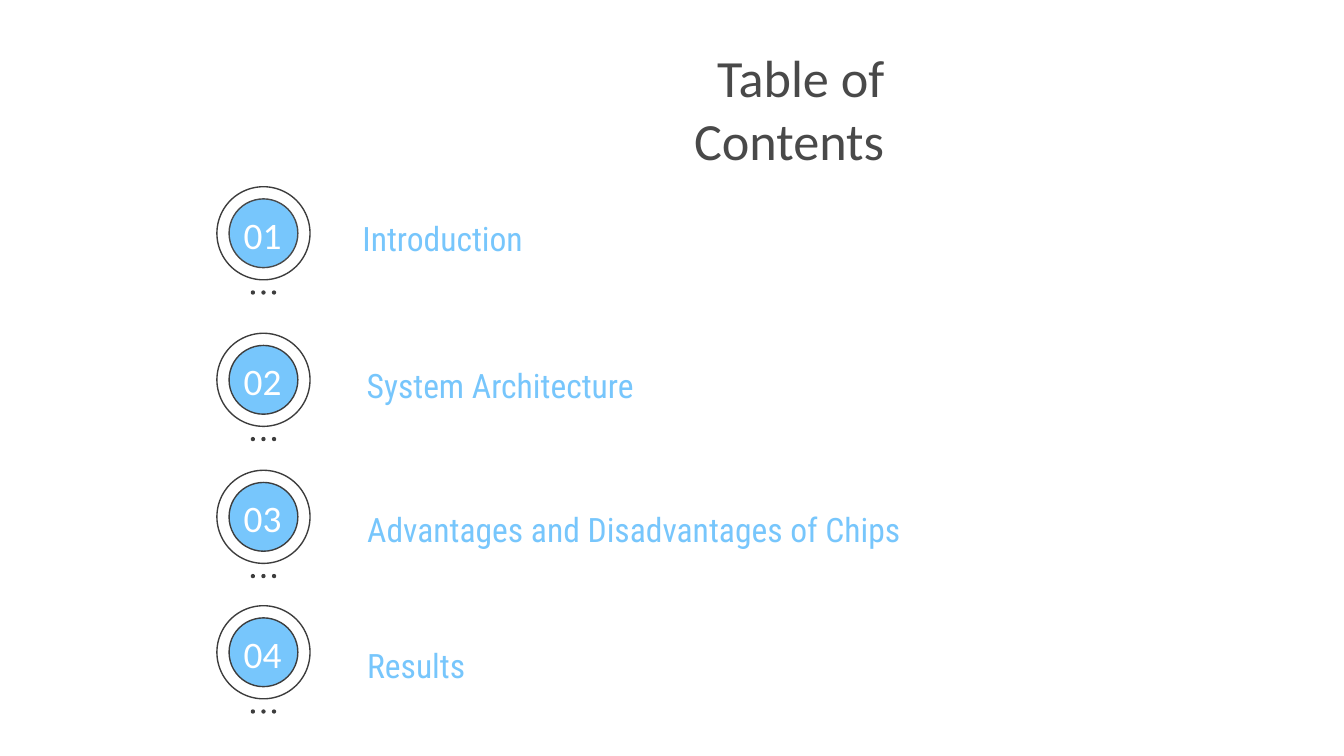
from pptx import Presentation
from pptx import util as u
from pptx.dml.color import RGBColor
from pptx.enum import shapes, text

SKY = "77C6FC"
CHARCOAL = "3D3D3D"
GREY = "494949"
WHITE = "FFFFFF"

CENTRE_X = 4.98
RING, DISC, DOT = 1.76, 1.3, 0.08
DOT_STEP = 0.2
PADDING = 0.25

SECTIONS = [
    ("Introduction", 3.53, 6.6, 3.76, 9.4, GREY),
    ("System Architecture", 6.3, 6.68, 6.53, 9.98, CHARCOAL),
    ("Advantages and Disadvantages of Chips", 8.89, 6.69, 9.25, 13.28, CHARCOAL),
    ("Results", 11.45, 6.69, 11.82, 13.28, CHARCOAL),
]


def colour(value):
    return RGBColor.from_string(value)


def add_circle(badge, centre_x, centre_y, size, fill, outline=None):
    circle = badge.shapes.add_shape(
        shapes.MSO_SHAPE.OVAL,
        u.Cm(centre_x - size / 2), u.Cm(centre_y - size / 2),
        u.Cm(size), u.Cm(size))
    circle.shadow.inherit = False
    circle.fill.solid()
    circle.fill.fore_color.rgb = colour(fill)
    if outline:
        circle.line.color.rgb = colour(outline)
        circle.line.width = u.Pt(0.75)
    else:
        circle.line.fill.background()


def add_badge(slide, top, disc_outline):
    badge = slide.shapes.add_group_shape()
    middle = top + RING / 2
    add_circle(badge, CENTRE_X, middle, RING, WHITE, CHARCOAL)
    add_circle(badge, CENTRE_X, middle, DISC, SKY, disc_outline)
    for step in (-1, 0, 1):
        add_circle(badge, CENTRE_X + step * DOT_STEP, top + 2, DOT, CHARCOAL)


def add_label(slide, wording, box, size, font, ink, align,
              anchor=text.MSO_ANCHOR.MIDDLE, spacing=None):
    frame = slide.shapes.add_textbox(*(u.Cm(length) for length in box)).text_frame
    frame.text = wording
    frame.word_wrap = True
    frame.vertical_anchor = anchor
    frame.margin_left = frame.margin_right = u.Cm(PADDING)
    frame.margin_top = frame.margin_bottom = u.Cm(PADDING)
    line = frame.paragraphs[0]
    line.alignment = align
    line.line_spacing = spacing
    run = line.runs[0]
    run.font.size = u.Pt(size)
    run.font.name = font
    run.font.color.rgb = colour(ink)


def add_section(slide, number, heading, top, left, heading_top, width, disc_outline):
    add_badge(slide, top, disc_outline)
    add_label(slide, f"{number:02}", (4.33, top + 0.41, 1.27, 0.97),
              20, "Calibri", WHITE, text.PP_ALIGN.CENTER)
    add_label(slide, heading, (left, heading_top, width, 1.07),
              18, "Roboto Condensed", SKY, text.PP_ALIGN.LEFT,
              text.MSO_ANCHOR.TOP, 1.15)


def main():
    deck = Presentation()
    deck.slide_width, deck.slide_height = u.Cm(25.4), u.Cm(14.29)
    slide = deck.slides.add_slide(deck.slide_layouts[6])
    add_label(slide, "Table of Contents", (9.7, 1.24, 7.26, 1.6),
              28, "Calibri", GREY, text.PP_ALIGN.RIGHT)
    for number, section in enumerate(SECTIONS, 1):
        add_section(slide, number, *section)
    deck.save("out.pptx")


if __name__ == "__main__":
    main()
